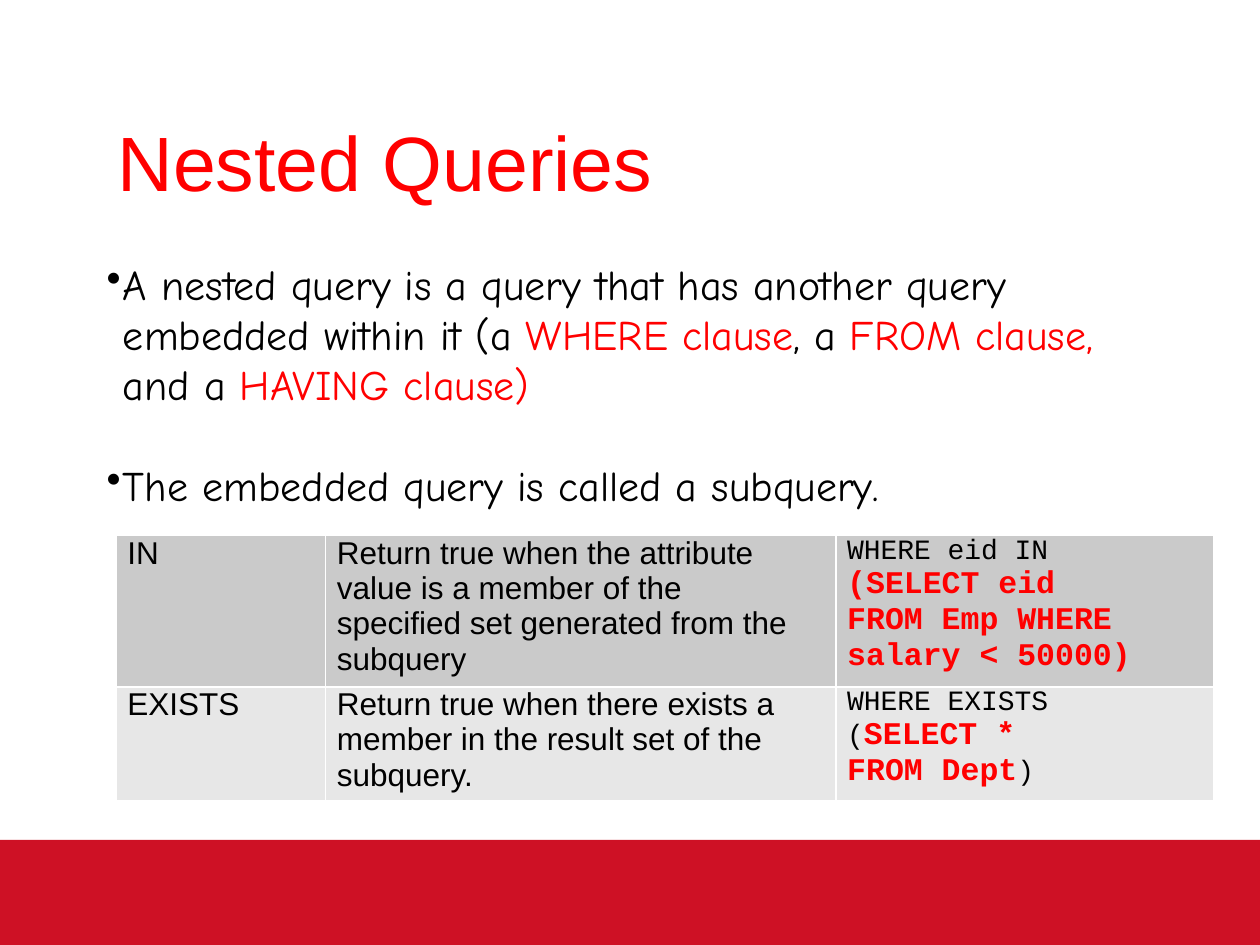
from dataclasses import dataclass

from lxml.etree import SubElement
from pptx import Presentation
from pptx.dml.color import RGBColor
from pptx.enum.shapes import MSO_SHAPE
from pptx.enum.text import MSO_ANCHOR
from pptx.oxml import parse_xml
from pptx.oxml.ns import nsdecls, qn
from pptx.util import Cm, Pt


@dataclass(frozen=True)
class Theme:
    ink: RGBColor = RGBColor(0, 0, 0)
    accent: RGBColor = RGBColor(255, 0, 0)
    footer: RGBColor = RGBColor(0xCE, 0x11, 0x25)
    row_fills: tuple = (RGBColor(0xCA, 0xCA, 0xCA), RGBColor(0xE7, 0xE7, 0xE7))
    border: str = "FFFFFF"
    heading_font: str = "Arial"
    body_font: str = "Comic Neue"
    code_font: str = "Courier New"
    title_size: Pt = Pt(44)
    body_size: Pt = Pt(24)
    cell_size: Pt = Pt(18)
    code_size: Pt = Pt(16)
    border_width: Pt = Pt(1)


THEME = Theme()

POINTS = [
    [
        ("A nested query is a query that has another query embedded within it (a ", False),
        ("WHERE clause", True),
        (", a ", False),
        ("FROM clause, ", True),
        ("and a ", False),
        ("HAVING clause)", True),
    ],
    [("The embedded query is called a subquery.", False)],
]

OPERATORS = [
    (
        "IN",
        "Return true when the attribute value is a member of the specified set "
        "generated from the subquery",
        [
            [("WHERE eid IN", False)],
            [("(SELECT eid", True)],
            [("FROM Emp WHERE salary < 50000)", True)],
        ],
    ),
    (
        "EXISTS",
        "Return true when there exists a member in the result set of the subquery.",
        [
            [("WHERE EXISTS", False)],
            [("(", False), ("SELECT *", True)],
            [("FROM Dept", True), (")", False)],
        ],
    ),
]


def style(font, name, size, color):
    font.name = name
    font.size = size
    font.color.rgb = color


def paragraph_at(frame, index):
    return frame.paragraphs[0] if index == 0 else frame.add_paragraph()


def add_footer(slide):
    footer = slide.shapes.add_shape(
        MSO_SHAPE.RECTANGLE, Cm(0), Cm(16.93), Cm(25.4), Cm(2.12)
    )
    footer.shadow.inherit = False
    footer.fill.solid()
    footer.fill.fore_color.rgb = THEME.footer
    footer.line.fill.background()


def add_title(slide, wording):
    title = slide.shapes.add_textbox(Cm(2.12), Cm(1.7), Cm(21.6), Cm(3.07)).text_frame
    title.word_wrap = True
    title.vertical_anchor = MSO_ANCHOR.MIDDLE
    heading = title.paragraphs[0]
    heading.text = wording
    style(heading.font, THEME.heading_font, THEME.title_size, THEME.accent)


def add_bullet(paragraph):
    properties = paragraph._p.get_or_add_pPr()
    properties.set("marL", str(Cm(0.33)))
    properties.set("indent", str(-Cm(0.33)))
    SubElement(properties, qn("a:buChar")).set("char", "•")


def add_points(slide, points):
    body = slide.shapes.add_textbox(Cm(1.9), Cm(5.08), Cm(21.84), Cm(5.38)).text_frame
    body.word_wrap = True
    for index, phrases in enumerate(points):
        point = paragraph_at(body, index)
        add_bullet(point)
        if index:
            point.space_before = Pt(28.8)
        point.font.name = THEME.body_font
        point.font.size = THEME.body_size
        for wording, highlighted in phrases:
            phrase = point.add_run()
            phrase.text = wording
            phrase.font.color.rgb = THEME.accent if highlighted else THEME.ink


def add_borders(cell):
    properties = cell._tc.get_or_add_tcPr()
    for position, side in enumerate(("lnL", "lnR", "lnT", "lnB")):
        border = parse_xml(
            f'<a:{side} {nsdecls("a")} w="{THEME.border_width}"><a:solidFill>'
            f'<a:srgbClr val="{THEME.border}"/></a:solidFill></a:{side}>'
        )
        properties.insert(position, border)


def format_cell(cell, fill):
    cell.margin_left = Cm(0.23)
    cell.margin_right = Cm(0.64)
    cell.margin_top = cell.margin_bottom = 0
    cell.fill.solid()
    cell.fill.fore_color.rgb = fill
    add_borders(cell)


def write_prose(cell, wording):
    prose = cell.text_frame.paragraphs[0]
    prose.text = wording
    style(prose.font, THEME.heading_font, THEME.cell_size, THEME.ink)


def write_code(cell, lines):
    for index, pieces in enumerate(lines):
        line = paragraph_at(cell.text_frame, index)
        line.font.name = THEME.code_font
        for wording, nested in pieces:
            piece = line.add_run()
            piece.text = wording
            piece.font.bold = nested
            piece.font.size = THEME.cell_size if nested else THEME.code_size
            piece.font.color.rgb = THEME.accent if nested else THEME.ink


def add_operators(slide, operators):
    table = slide.shapes.add_table(
        len(operators), 3, Cm(2.34), Cm(10.8), Cm(22.13), Cm(5.31)
    ).table
    table.first_row = False
    table.horz_banding = False
    for column, width in zip(table.columns, (4.22, 10.29, 7.62)):
        column.width = Cm(width)
    for row, height in zip(table.rows, (3.02, 2.29)):
        row.height = Cm(height)
    for row, fill, (operator, meaning, example) in zip(
        table.rows, THEME.row_fills, operators
    ):
        for cell in row.cells:
            format_cell(cell, fill)
        write_prose(row.cells[0], operator)
        write_prose(row.cells[1], meaning)
        write_code(row.cells[2], example)


def main():
    deck = Presentation()
    deck.slide_width = Cm(25.4)
    deck.slide_height = Cm(19.05)
    slide = deck.slides.add_slide(deck.slide_layouts[6])
    add_footer(slide)
    add_title(slide, "Nested Queries")
    add_points(slide, POINTS)
    add_operators(slide, OPERATORS)
    deck.save("out.pptx")


if __name__ == "__main__":
    main()
